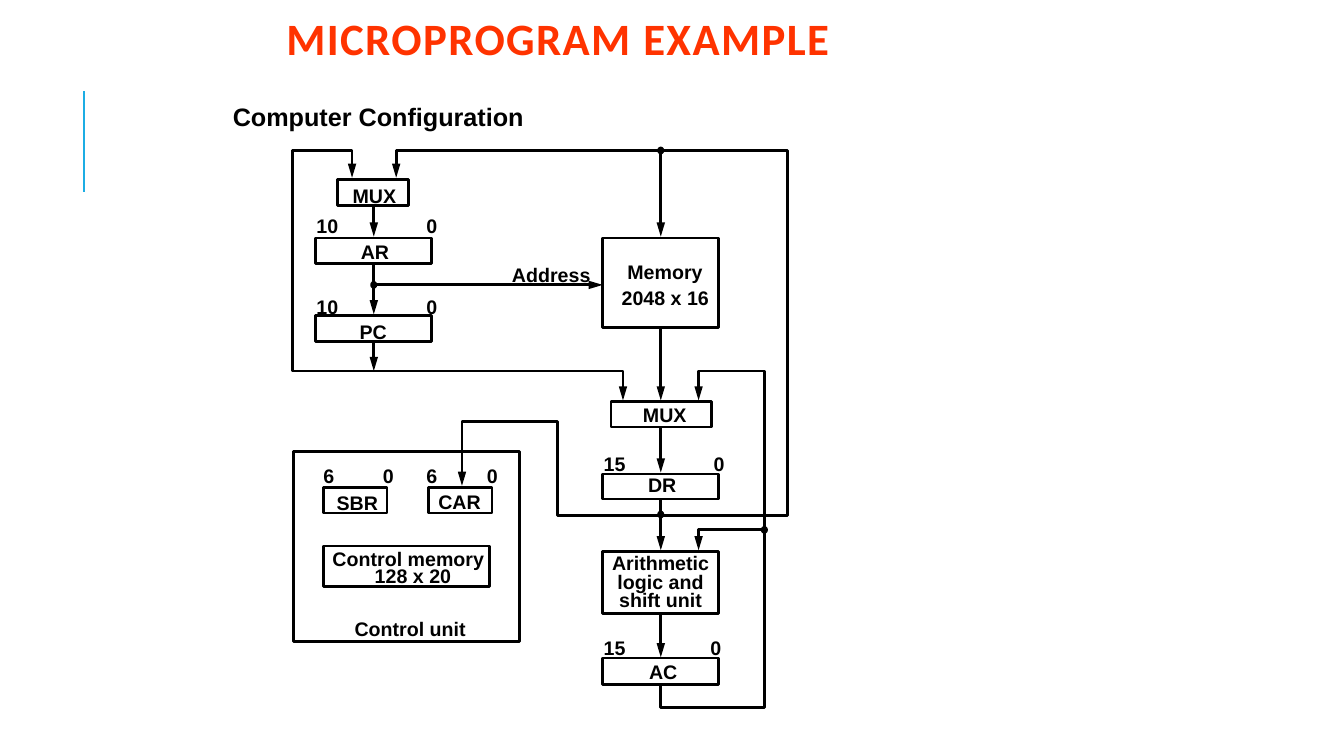
from lxml.etree import SubElement
from pptx import Presentation
from pptx.dml.color import RGBColor
from pptx.enum.shapes import MSO_CONNECTOR as Connector, MSO_SHAPE as Preset
from pptx.enum.text import MSO_ANCHOR as Anchor, MSO_AUTO_SIZE as AutoSize, PP_ALIGN as Align
from pptx.oxml.ns import qn
from pptx.util import Pt

BLACK = RGBColor(0x00, 0x00, 0x00)
ORANGE = RGBColor(0xFF, 0x33, 0x00)
BLUE = RGBColor(0x1C, 0xAD, 0xE4)

TITLE = "MICROPROGRAM EXAMPLE"
SUBTITLE = "Computer Configuration"

# Trunks and buses that several parts share
ADDRESS_X, DATA_X = 267, 472
TOP_BUS, PC_BUS, DR_BUS = 107.5, 265, 368.5
ADDRESS_Y, FEEDBACK_X, FEEDBACK_Y = 203.5, 546, 378.5
REGISTER_W = 83
ADDRESS_LEFT, DATA_LEFT = 225.5, 430.5

# left, top, width, height
UNITS = [
    (241, 128, 51, 19),                       # address MUX
    (ADDRESS_LEFT, 170, REGISTER_W, 18),      # AR
    (ADDRESS_LEFT, 225.5, REGISTER_W, 18.5),  # PC
    (DATA_LEFT, 170, REGISTER_W, 64),         # memory
    (436.5, 286.5, 71.5, 18.5),               # data MUX
    (DATA_LEFT, 338.5, REGISTER_W, 18),       # DR
    (DATA_LEFT, 394, REGISTER_W, 44),         # arithmetic unit
    (DATA_LEFT, 470, REGISTER_W, 19),         # AC
    (231, 348, 45.5, 18.5),                   # SBR
    (306, 348, 45.5, 18.5),                   # CAR
    (231, 390, 119, 29),                      # control memory
    (209.5, 322.5, 161.5, 136),               # control unit
]

# text, left, top, width
LABELS = [
    ("MUX", 244.8, 129.6, 46.1),
    ("AR", 250.6, 169.9, 34.6),
    ("PC", 249.8, 226.8, 33.8),
    ("Address", 358.6, 185.8, 70.6),
    ("Memory", 441, 184, 68.4),
    ("2048 x 16", 437, 202.3, 77),
    ("MUX", 452.2, 285.8, 46.1),
    ("DR", 455.8, 336.2, 34.6),
    ("AC", 456.5, 469.4, 34.6),
    ("SBR", 233.3, 349.2, 44.6),
    ("CAR", 306, 348.5, 45.4),
    ("Control memory", 230.4, 388.8, 123.1),
    ("128 x 20", 260.6, 401, 69.1),
    ("Control unit", 246.2, 439.2, 94.3),
]
ALU_LINES = ["Arithmetic", "logic and", "shift unit"]

# high bit, left of high bit, left of bit 0, top
BIT_RANGES = [
    ("10", 218.9, 297.4, 151.2),
    ("10", 218.9, 297.4, 208.8),
    ("15", 424.1, 502.6, 321.1),
    ("15", 424.1, 500.4, 452.5),
    ("6", 223.9, 266.4, 329.8),
    ("6", 297.4, 340.6, 329.8),
]
BIT_WIDTHS = {1: 22.3, 2: 30.2}

# Vertical arrows: x, start, end
DROPS = [
    (ADDRESS_X, 147, 169),
    (ADDRESS_X, 188, 224.5),
    (ADDRESS_X, 244, PC_BUS),
    (DATA_X, TOP_BUS, 169),
    (DATA_X, 234, 286),
    (DATA_X, 305, 337.5),
    (DATA_X, 356.5, 393),
    (DATA_X, 438, 469.5),
]

# Bent wires: corners, and whether the start has an arrowhead too
WIRES = [
    ([(251.5, 127), (251.5, TOP_BUS), (209, TOP_BUS), (209, PC_BUS),
      (445, PC_BUS), (445, 286)], True),
    ([(330, 347), (330, 301), (398.5, 301), (398.5, DR_BUS), (562.5, DR_BUS),
      (562.5, TOP_BUS), (283, TOP_BUS), (283, 127)], True),
    ([(DATA_X, 489), (DATA_X, 505.5), (FEEDBACK_X, 505.5), (FEEDBACK_X, PC_BUS),
      (499, PC_BUS), (499, 286)], False),
    ([(FEEDBACK_X, FEEDBACK_Y), (499, FEEDBACK_Y), (499, 393)], False),
]
JUNCTIONS = [(DATA_X, DR_BUS - 1), (DATA_X, TOP_BUS),
             (FEEDBACK_X, FEEDBACK_Y), (ADDRESS_X, ADDRESS_Y)]

deck = Presentation()
deck.slide_width, deck.slide_height = Pt(960), Pt(540)
page = deck.slides.add_slide(deck.slide_layouts[6])


def add_text(lines, left, top, width, height=22.3, size=14, spacing=0.9, font="Arial",
             color=BLACK, align=Align.LEFT, inset=(7.2, 3.6), wrap=False, tracking=None):
    box = page.shapes.add_textbox(Pt(left), Pt(top), Pt(width), Pt(height))
    frame = box.text_frame
    frame.word_wrap = wrap
    frame.auto_size = AutoSize.NONE if wrap else AutoSize.SHAPE_TO_FIT_TEXT
    frame.vertical_anchor = Anchor.TOP
    frame.margin_left = frame.margin_right = Pt(inset[0])
    frame.margin_top = frame.margin_bottom = Pt(inset[1])
    for index, line in enumerate(lines):
        para = frame.add_paragraph() if index else frame.paragraphs[0]
        para.alignment, para.line_spacing = align, spacing
        span = para.add_run()
        span.text = line
        span.font.name, span.font.size, span.font.bold = font, Pt(size), True
        span.font.color.rgb = color
        if tracking:
            span.font._element.set("spc", str(tracking))


def style_line(shape, width=2, color=BLACK):
    shape.line.color.rgb = color
    shape.line.width = Pt(width)


def add_heads(shape, *ends):
    for end in ends:
        SubElement(shape.line._get_or_add_ln(), qn(f"a:{end}"),
                   type="triangle", w="med", len="lg")


def add_straight(x1, y1, x2, y2, width=2, color=BLACK):
    line = page.shapes.add_connector(Connector.STRAIGHT, Pt(x1), Pt(y1), Pt(x2), Pt(y2))
    style_line(line, width, color)
    SubElement(line._element.spPr, qn("a:effectLst"))
    return line


def add_preset(preset, left, top, width, height):
    shape = page.shapes.add_shape(preset, Pt(left), Pt(top), Pt(width), Pt(height))
    shape.shadow.inherit = False
    style_line(shape)
    return shape


add_straight(60, 137, 60, 65, 1.5, BLUE)
add_text([TITLE], 199.5, 13, 543.5, 52.5, size=32, spacing=0.8, font="Calibri",
         color=ORANGE, inset=(5, 2.2), wrap=True, tracking=100)
add_text([SUBTITLE], 161.3, 69.8, 220.3, 25.2, size=18, spacing=1.02, inset=(5, 2.2))

for unit in UNITS:
    add_preset(Preset.RECTANGLE, *unit).fill.background()

for x, start, end in DROPS:
    add_heads(add_straight(x, start, x, end), "tailEnd")
add_heads(add_straight(ADDRESS_X, ADDRESS_Y, DATA_LEFT, ADDRESS_Y), "tailEnd")

for corners, both_ends in WIRES:
    points = [(Pt(x), Pt(y)) for x, y in corners]
    builder = page.shapes.build_freeform(*points[0])
    builder.add_line_segments(points[1:], close=False)
    wire = builder.convert_to_shape()
    wire.shadow.inherit = False
    wire.fill.background()
    style_line(wire)
    add_heads(wire, *(["headEnd"] if both_ends else []), "tailEnd")

for x, y in JUNCTIONS:
    dot = add_preset(Preset.OVAL, x - 1.5, y - 1.75, 3, 3.5)
    dot.fill.solid()
    dot.fill.fore_color.rgb = BLACK

for text, left, top, width in LABELS:
    add_text([text], left, top, width)
add_text(ALU_LINES, 429.8, 393.1, 84.2, 47.5, spacing=0.8, align=Align.CENTER)
for high, high_left, low_left, top in BIT_RANGES:
    for bit, left in ((high, high_left), ("0", low_left)):
        add_text([bit], left, top, BIT_WIDTHS[len(bit)])

deck.save("out.pptx")
